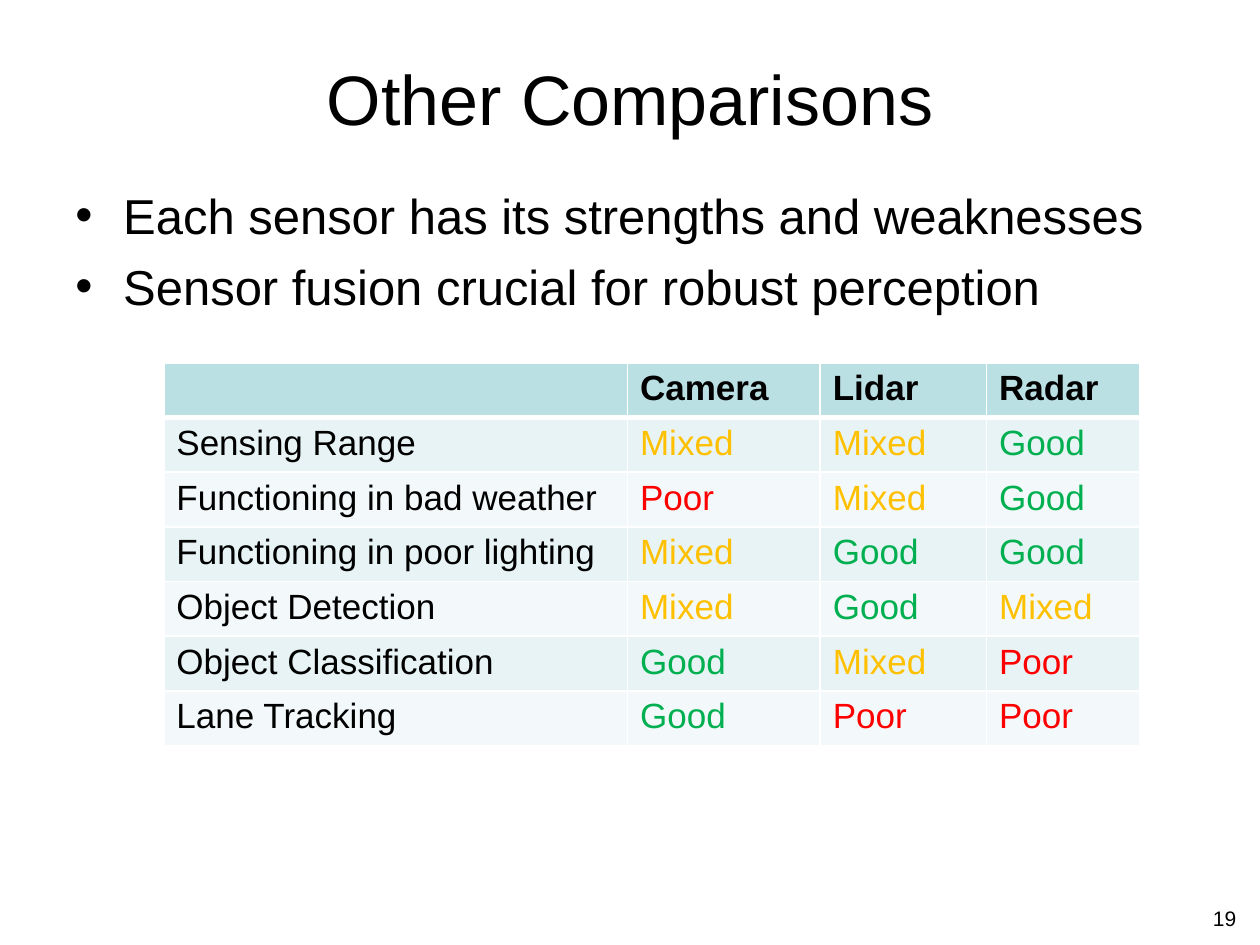
from lxml.etree import SubElement
from pptx import Presentation
from pptx.dml.color import RGBColor
from pptx.enum.text import MSO_ANCHOR, PP_ALIGN
from pptx.oxml.ns import qn
from pptx.util import Inches, Pt

BLACK = RGBColor(0, 0, 0)
HEADER_FILL = RGBColor(0xBB, 0xE0, 0xE3)
BAND_FILLS = [RGBColor(0xF3, 0xF9, 0xFA), RGBColor(0xE7, 0xF3, 0xF4)]
RATING_COLORS = {
    "Good": RGBColor(0x00, 0xB0, 0x50),
    "Mixed": RGBColor(0xFF, 0xC0, 0x00),
    "Poor": RGBColor(0xFF, 0x00, 0x00),
}

TITLE = "Other Comparisons"
PAGE_NUMBER = "19"
POINTS = [
    "Each sensor has its strengths and weaknesses",
    "Sensor fusion crucial for robust perception",
]
COMPARISON = [
    ("", "Camera", "Lidar", "Radar"),
    ("Sensing Range", "Mixed", "Mixed", "Good"),
    ("Functioning in bad weather", "Poor", "Mixed", "Good"),
    ("Functioning in poor lighting", "Mixed", "Good", "Good"),
    ("Object Detection", "Mixed", "Good", "Mixed"),
    ("Object Classification", "Good", "Mixed", "Poor"),
    ("Lane Tracking", "Good", "Poor", "Poor"),
]
COLUMN_WIDTHS = [3.68, 1.53, 1.32, 1.22]
ROW_HEIGHT = 0.41


def style(paragraph, size, color=BLACK, bold=False):
    font = paragraph.font
    font.name, font.size, font.bold = "Arial", Pt(size), bold
    font.color.rgb = color


def add_text(slide, box, lines, size, align=PP_ALIGN.LEFT,
             anchor=MSO_ANCHOR.TOP, bulleted=False):
    frame = slide.shapes.add_textbox(*map(Inches, box)).text_frame
    frame.word_wrap = True
    frame.vertical_anchor = anchor
    frame.text = "\n".join(lines)
    for i, paragraph in enumerate(frame.paragraphs):
        paragraph.alignment = align
        if i:
            paragraph.space_before = Pt(7)
        if bulleted:
            properties = paragraph._p.get_or_add_pPr()
            properties.set("marL", str(Inches(0.38)))
            properties.set("indent", str(Inches(-0.38)))
            SubElement(properties, qn("a:buFont"), typeface="Arial")
            SubElement(properties, qn("a:buChar"), char="•")
        style(paragraph, size)


def add_white_borders(cell, top, bottom):
    properties = cell._tc.get_or_add_tcPr()
    for side, width in zip("LRTB", (1, 1, top, bottom)):
        line = SubElement(properties, qn(f"a:ln{side}"), w=str(Pt(width)))
        SubElement(SubElement(line, qn("a:solidFill")), qn("a:srgbClr"), val="FFFFFF")


def add_comparison(slide):
    table = slide.shapes.add_table(
        len(COMPARISON), len(COLUMN_WIDTHS), Inches(1.3), Inches(2.88),
        Inches(sum(COLUMN_WIDTHS)), Inches(ROW_HEIGHT * len(COMPARISON))).table
    for column, width in zip(table.columns, COLUMN_WIDTHS):
        column.width = Inches(width)
    for r, row in enumerate(COMPARISON):
        table.rows[r].height = Inches(ROW_HEIGHT)
        for c, text in enumerate(row):
            cell = table.cell(r, c)
            cell.text = text
            add_white_borders(cell, top=3 if r == 1 else 1, bottom=3 if r == 0 else 1)
            cell.fill.solid()
            cell.fill.fore_color.rgb = BAND_FILLS[r % 2] if r else HEADER_FILL
            style(cell.text_frame.paragraphs[0], 20,
                  RATING_COLORS.get(text, BLACK), bold=r == 0)


def main():
    deck = Presentation()
    deck.slide_width, deck.slide_height = Inches(10), Inches(7.5)
    slide = deck.slides.add_slide(deck.slide_layouts[6])
    add_text(slide, (0.5, 0.3, 9, 0.95), [TITLE], 40,
             PP_ALIGN.CENTER, MSO_ANCHOR.MIDDLE)
    add_comparison(slide)
    add_text(slide, (7.58, 7.14, 2.33, 0.27), [PAGE_NUMBER], 12, PP_ALIGN.RIGHT)
    add_text(slide, (0.5, 1.42, 9, 1.86), POINTS, 28, bulleted=True)
    deck.save("out.pptx")


if __name__ == "__main__":
    main()
